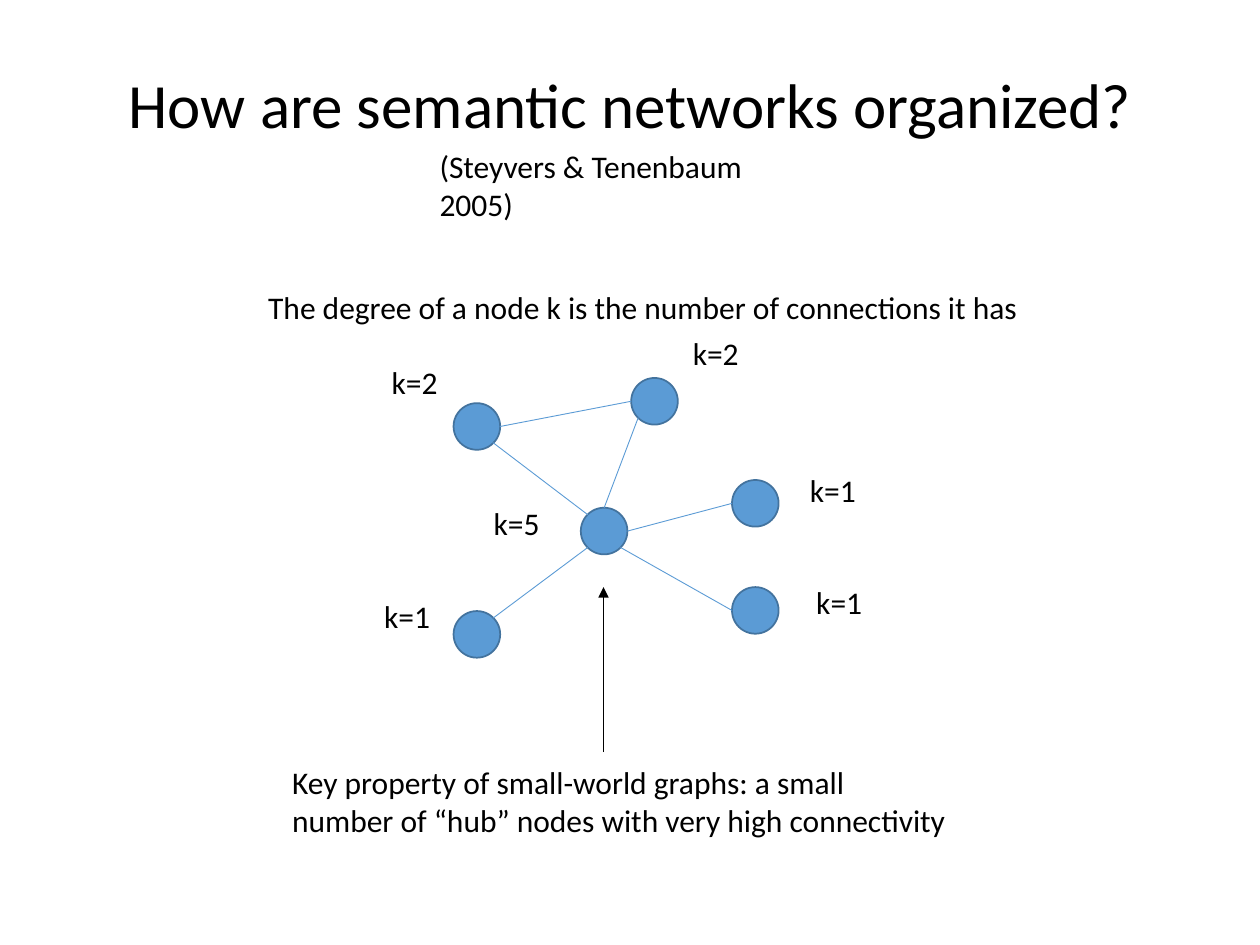
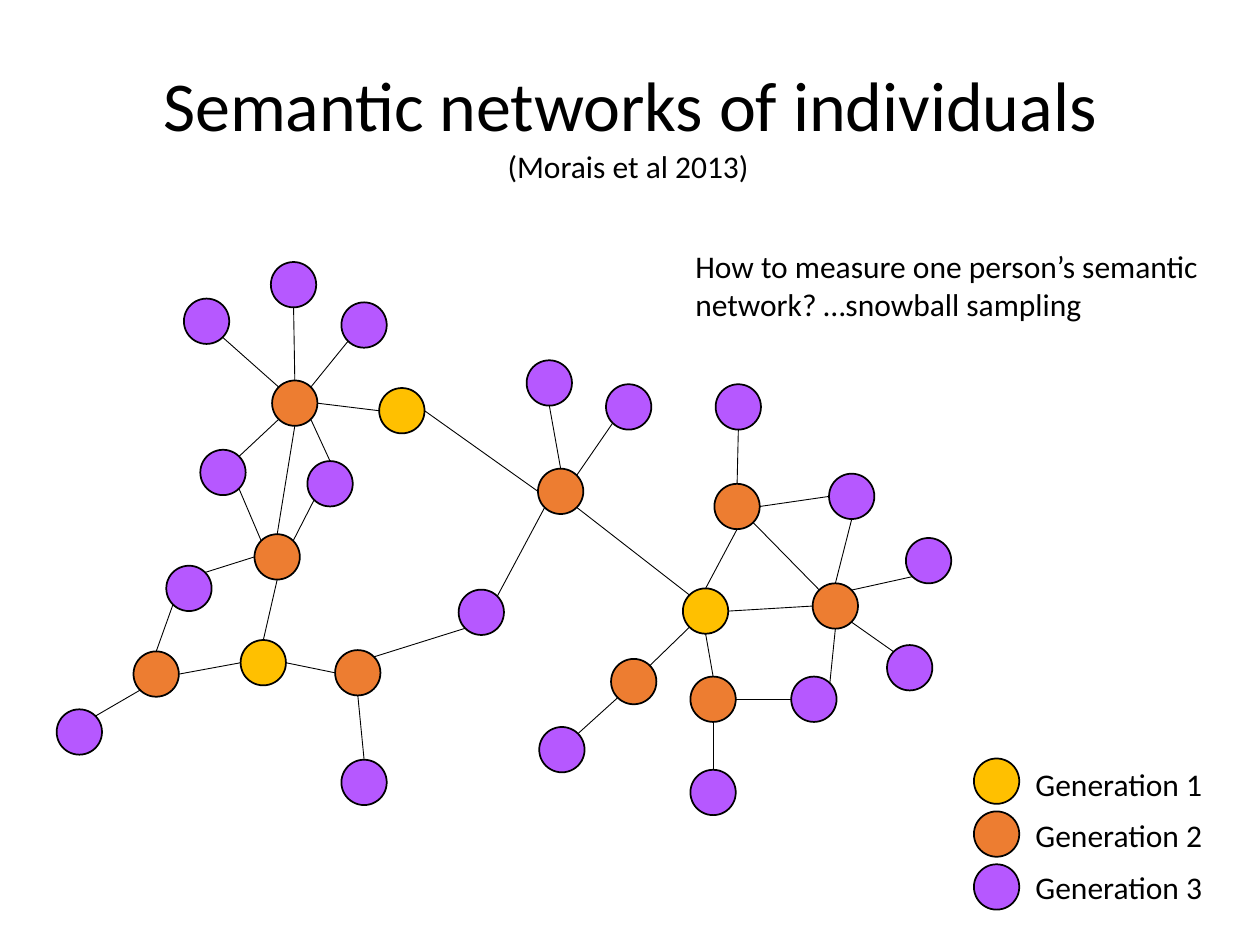
from lxml import etree
from pptx import Presentation
from pptx import util as u
from pptx.dml.color import RGBColor
from pptx.enum import shapes, text
from pptx.oxml.ns import qn

COLORS = {"ink": "000000", "blue": "5B9BD5", "blue_edge": "43739E",
          "gen1": "FFC000", "gen2": "ED7D31", "gen3": "B658FF"}
FONT = "Calibri"

# Points on a circle: connection index and position as a share of its size
SITES = {"t": (0, 0.5, 0), "tl": (1, 0.15, 0.15), "l": (2, 0, 0.5),
         "bl": (3, 0.15, 0.85), "b": (4, 0.5, 1), "br": (5, 0.85, 0.85),
         "r": (6, 1, 0.5), "tr": (7, 0.85, 0.15)}

prs = Presentation()
prs.slide_width, prs.slide_height = u.Inches(10), u.Inches(7.5)


def write(slide, words, box, size=18, title=False):
    """Write words in the title placeholder or in a new text box."""
    left, top, width, height = (u.Inches(n) for n in box)
    if title:
        holder = slide.shapes.title
        holder.left, holder.top, holder.width, holder.height = left, top, width, height
    else:
        holder = slide.shapes.add_textbox(left, top, width, height)
    frame = holder.text_frame
    frame.word_wrap = True
    frame.text = words
    line = frame.paragraphs[0]
    if title:
        frame.vertical_anchor = text.MSO_ANCHOR.MIDDLE
        line.alignment = text.PP_ALIGN.CENTER
        line.line_spacing = 0.9
    line.font.name = FONT
    line.font.size = u.Pt(size)
    line.font.color.rgb = RGBColor.from_string(COLORS["ink"])


def draw_line(slide, start, end, color):
    """Draw a thin straight line without a shadow."""
    line = slide.shapes.add_connector(shapes.MSO_CONNECTOR.STRAIGHT, *start, *end)
    line.line.color.rgb = RGBColor.from_string(COLORS[color])
    line.line.width = u.Pt(0.5)
    etree.SubElement(line._element.spPr, qn("a:effectLst"))
    return line


# Network around one hub: node positions and links
degree_nodes = {
    "hub": (4.61, 4.03, "blue"), "top": (5.01, 3, "blue"),
    "right": (5.81, 3.81, "blue"), "low right": (5.81, 4.66, "blue"),
    "low left": (3.6, 4.85, "blue"), "top left": (3.6, 3.2, "blue")}
degree_links = [
    ("hub", "t", "top", "bl"), ("hub", "r", "right", "l"),
    ("hub", "br", "low right", "l"), ("hub", "bl", "low left", "tr"),
    ("hub", "tl", "top left", "br"), ("top", "l", "top left", "r")]

# Snowball sample: positions by generation, named 1a, 1b, ... 2a, 2b, ...
generations = {
    1: [(1.91, 5.08), (3.01, 3.08), (5.42, 4.67)],
    2: [(2.02, 4.24), (2.66, 5.16), (1.06, 5.17), (4.27, 3.72), (2.16, 3.02),
        (5.48, 5.37), (4.85, 5.23), (5.67, 3.84), (6.45, 4.63)],
    3: [(2.71, 2.4), (1.46, 2.37), (1.59, 3.57), (2.44, 3.66), (1.32, 4.49),
        (0.45, 5.63), (3.64, 4.68), (2.71, 6.03), (4.28, 5.77), (4.18, 2.86),
        (5.68, 3.05), (6.58, 3.76), (5.48, 6.11), (6.28, 5.37), (7.04, 5.12),
        (7.19, 4.27), (2.15, 2.08), (4.81, 3.05)]}
sample_nodes = {f"{gen}{letter}": (x, y, f"gen{gen}")
                for gen, places in generations.items()
                for letter, (x, y) in zip("abcdefghijklmnopqr", places)}
for i in range(3):
    sample_nodes[f"legend {i + 1}"] = (7.73, 6.02 + 0.42 * i, f"gen{i + 1}")
sample_links = [link.split() for link in (
    "1a t 2a b", "1a r 2b l", "2c r 1a l", "1b r 2d l", "1b l 2e r", "2g tr 1c bl",
    "2h b 1c t", "2i l 1c r", "2f t 1c b", "1c tl 2d br", "3l l 2h r", "3k b 2h t",
    "3p bl 2i tr", "2h br 2i tl", "3o tl 2i br", "2f r 3n l", "3m t 2f b",
    "3n tr 2i b", "2i t 3l b", "2g bl 3i tr", "2d tr 3r bl", "2d t 3j b",
    "3g tr 2d bl", "2b tr 3g bl", "3h t 2b b", "2a tr 3d bl", "2a tl 3c br",
    "3e tr 2a l", "2c t 3e bl", "2c bl 3f tr", "2e t 3q b", "2e tl 3b br",
    "2e tr 3a bl", "3c tr 2e bl", "3d t 2e br", "2a t 2e b")]

# Text of each slide
degree_words = [
    ("(Steyvers & Tenenbaum 2005)", (3.39, 1.12, 3.2, 0.71)),
    ("The degree of a node k is the number of connections it has", (2.03, 2.24, 6.33, 0.4)),
    ("Key property of small-world graphs: a small number of “hub” nodes "
     "with very high connectivity", (2.22, 6.01, 5.4, 0.71))]
for k, x, y in [(1, 6.33, 3.69), (1, 6.38, 4.58), (1, 2.95, 4.69),
                (2, 3.01, 2.83), (2, 5.4, 2.6), (5, 3.82, 3.95)]:
    degree_words.append((f"k={k}", (x, y, 0.6, 0.4)))
sample_words = [
    ("(Morais et al 2013)", (3.93, 1.12, 2.14, 0.4)),
    ("How to measure one person’s semantic network? …snowball sampling",
     (5.42, 1.91, 4.41, 0.71))]
for i in range(3):
    sample_words.append((f"Generation {i + 1}", (8.12, 6.02 + 0.41 * i, 1.57, 0.4)))

# Build both slides
for heading, heading_size, words, nodes, links, node_size, edge, link_color in [
        ("How are semantic networks organized?", 36, degree_words,
         degree_nodes, degree_links, 0.37, "blue_edge", "blue"),
        ("Semantic networks of individuals", 40, sample_words,
         sample_nodes, sample_links, 0.36, "ink", "ink")]:
    slide = prs.slides.add_slide(prs.slide_layouts[5])
    write(slide, heading, (0.69, 0.4, 8.62, 0.92), size=heading_size, title=True)

    # Nodes
    circles = {}
    for name, (x, y, fill) in nodes.items():
        circle = slide.shapes.add_shape(
            shapes.MSO_SHAPE.OVAL, u.Inches(x), u.Inches(y),
            u.Inches(node_size), u.Inches(node_size))
        circle.shadow.inherit = False
        circle.fill.solid()
        circle.fill.fore_color.rgb = RGBColor.from_string(COLORS[fill])
        circle.line.color.rgb = RGBColor.from_string(COLORS[edge])
        circle.line.width = u.Pt(1)
        circles[name] = circle

    # Links, glued to the circles at both ends
    for start, start_site, end, end_site in links:
        points, joints = [], []
        for tag, name, site in (("a:stCxn", start, start_site), ("a:endCxn", end, end_site)):
            circle = circles[name]
            index, across, down = SITES[site]
            points.append((int(circle.left + across * circle.width),
                           int(circle.top + down * circle.height)))
            joints.append((tag, circle.shape_id, index))
        link = draw_line(slide, *points, link_color)
        for tag, shape_id, index in joints:
            etree.SubElement(link._element.nvCxnSpPr.cNvCxnSpPr, qn(tag),
                             id=str(shape_id), idx=str(index))

    # Labels
    for label, box in words:
        write(slide, label, box)

# Arrow from the key property up to the hub
arrow = draw_line(prs.slides[0], (u.Inches(4.79), u.Inches(5.97)),
                  (u.Inches(4.79), u.Inches(4.66)), "ink")
etree.SubElement(arrow.line._get_or_add_ln(), qn("a:tailEnd"), type="triangle")

prs.save("out.pptx")
